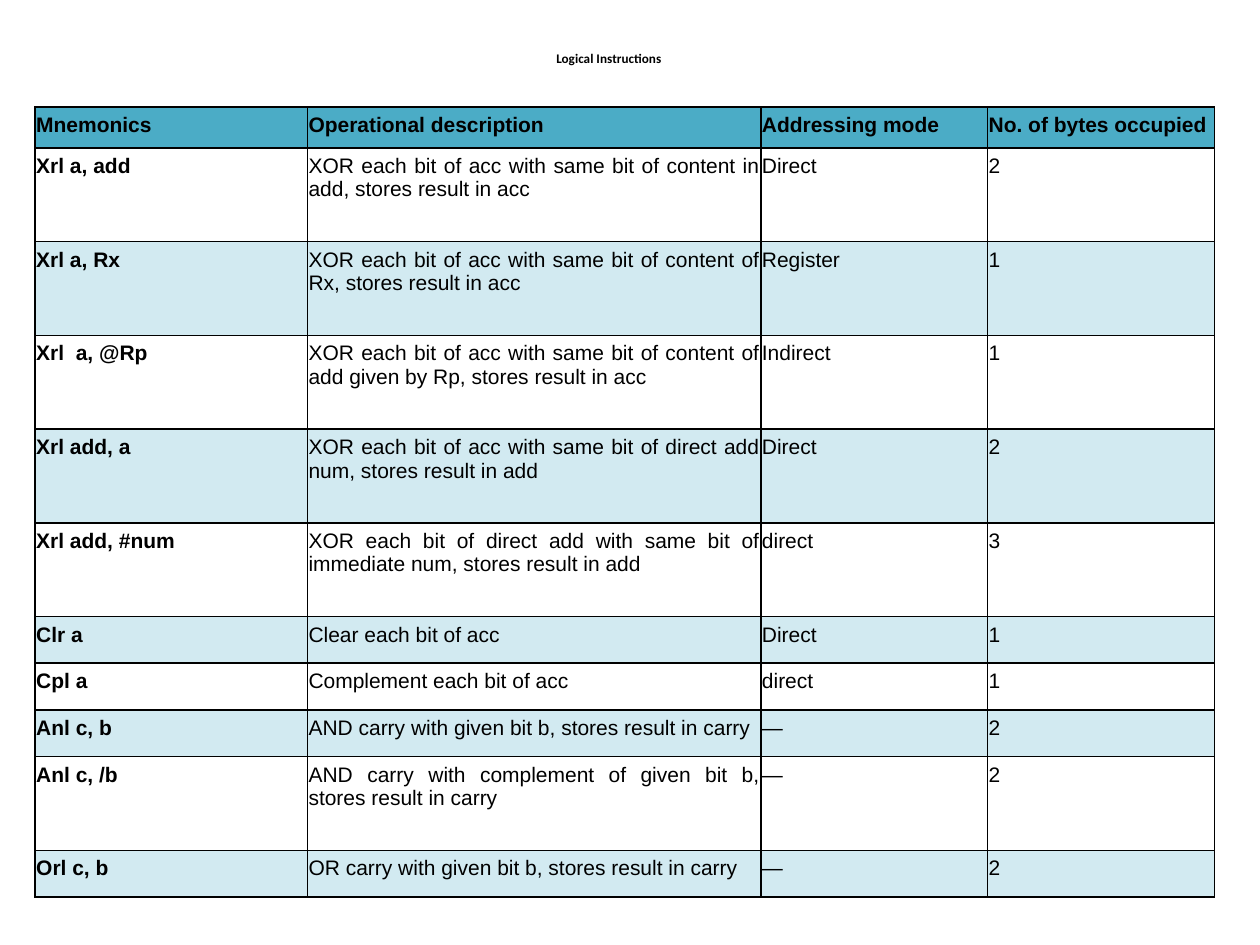
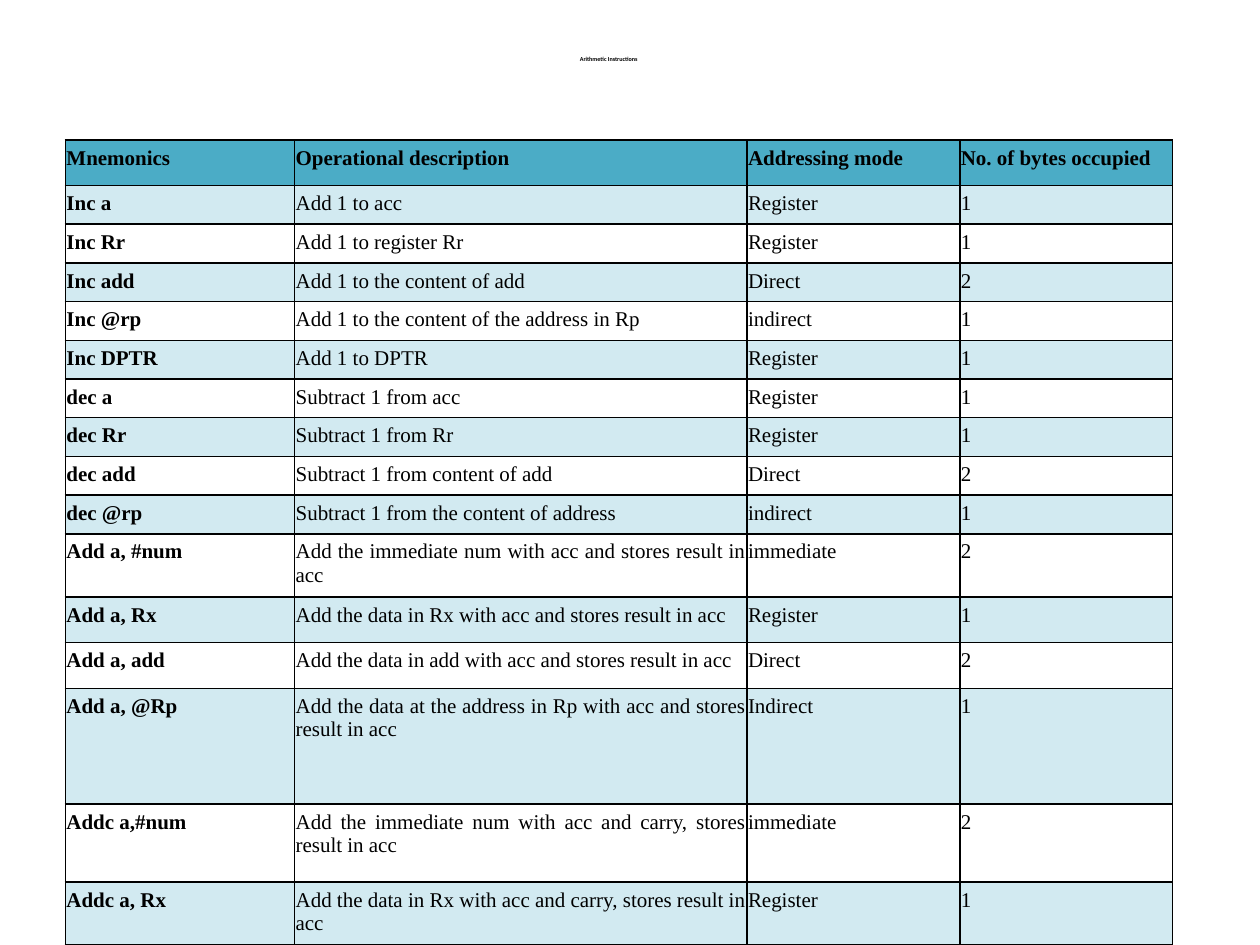
from lxml.etree import SubElement
from pptx import Presentation
from pptx.dml.color import RGBColor
from pptx.enum.text import MSO_ANCHOR, PP_ALIGN
from pptx.oxml.ns import qn
from pptx.util import Cm, Pt

COLOURS = {"text": "000000", "border": "000000", "header": "4BACC6", "band": "D2EAF1"}
HEADINGS = ("Mnemonics", "Operational description", "Addressing mode",
            "No. of bytes occupied")
BORDER_WIDTH = Pt(0.96)

LOGICAL = [
    ("Xrl a, add", "XOR each bit of acc with same bit of content in add, stores result in acc",
     "Direct", "2"),
    ("Xrl a, Rx", "XOR each bit of acc with same bit of content of Rx, stores result in acc",
     "Register", "1"),
    ("Xrl  a, @Rp",
     "XOR each bit of acc with same bit of content of add given by Rp, stores result in acc",
     "Indirect", "1"),
    ("Xrl add, a", "XOR each bit of acc with same bit of direct add num, stores result in add",
     "Direct", "2"),
    ("Xrl add, #num",
     "XOR each bit of direct add with same bit of immediate num, stores result in add",
     "direct", "3"),
    ("Clr a", "Clear each bit of acc", "Direct", "1"),
    ("Cpl a", "Complement each bit of acc", "direct", "1"),
    ("Anl c, b", "AND carry with given bit b, stores result in carry", "—", "2"),
    ("Anl c, /b", "AND carry with complement of given bit b, stores result in carry", "—", "2"),
    ("Orl c, b", "OR carry with given bit b, stores result in carry", "—", "2"),
]
ARITHMETIC = [
    ("Inc a", "Add 1 to acc", "Register", "1"),
    ("Inc Rr", "Add 1 to register Rr", "Register", "1"),
    ("Inc add", "Add 1 to the content of add", "Direct", "2"),
    ("Inc @rp", "Add 1 to the content of the address in Rp", "indirect", "1"),
    ("Inc DPTR", "Add 1 to DPTR", "Register", "1"),
    ("dec a", "Subtract 1 from acc", "Register", "1"),
    ("dec Rr", "Subtract 1 from Rr", "Register", "1"),
    ("dec add", "Subtract 1 from content of add", "Direct", "2"),
    ("dec @rp", "Subtract 1 from the content of address", "indirect", "1"),
    ("Add a, #num", "Add the immediate num with acc and stores result in acc",
     "immediate", "2"),
    ("Add a, Rx", "Add the data in Rx with acc and stores result in acc", "Register", "1"),
    ("Add a, add", "Add the data in add with acc and stores result in acc", "Direct", "2"),
    ("Add a, @Rp", "Add the data at the address in Rp with acc and stores result in acc",
     "Indirect", "1"),
    ("Addc a,#num", "Add the immediate num with acc and carry, stores result in acc",
     "immediate", "2"),
    ("Addc a, Rx", "Add the data in Rx with acc and carry, stores result in acc",
     "Register", "1"),
]
LOGICAL_HEIGHTS = [0.82] + [1.89] * 5 + [0.94] * 3 + [1.89, 0.94]
ARITHMETIC_HEIGHTS = [0.92] + [0.78] * 9 + [1.27, 0.92, 0.92, 2.33, 1.57, 1.27]


def write_text(frame, text, *, font, size, bold=False, align=PP_ALIGN.JUSTIFY, spacing=None):
    para = frame.paragraphs[0]
    para.alignment = align
    para.line_spacing = spacing
    span = para.add_run()
    span.text = text
    span.font.name = font
    span.font.size = Pt(size)
    span.font.bold = bold
    span.font.color.rgb = RGBColor.from_string(COLOURS["text"])


def add_title(page, text, size):
    box = page.shapes.add_textbox(Cm(0.91), Cm(0.25), Cm(22.73), Cm(2.16))
    frame = box.text_frame
    frame.word_wrap = True
    frame.vertical_anchor = MSO_ANCHOR.MIDDLE
    frame.margin_bottom = Cm(0.38)
    write_text(frame, text, font="Calibri", size=size, bold=True,
               align=PP_ALIGN.CENTER, spacing=0.9)


def add_borders(cell):
    properties = cell._tc.get_or_add_tcPr()
    for side in ("a:lnL", "a:lnR", "a:lnT", "a:lnB"):
        line = SubElement(properties, qn(side), w=str(int(BORDER_WIDTH)))
        fill = SubElement(line, qn("a:solidFill"))
        SubElement(fill, qn("a:srgbClr"), val=COLOURS["border"])


def format_cell(cell, text, *, font, bold, colour):
    cell.margin_left = cell.margin_right = Cm(0.02)
    cell.margin_top = cell.margin_bottom = Cm(0.13)
    add_borders(cell)
    if colour:
        cell.fill.solid()
        cell.fill.fore_color.rgb = RGBColor.from_string(COLOURS[colour])
    else:
        cell.fill.background()
    write_text(cell.text_frame, text, font=font, size=12, bold=bold)


def add_instruction_table(page, instructions, *, left, top, widths, heights, font, first_band):
    """Lengths are in cm; every second row from first_band on is tinted."""
    rows = [HEADINGS, *instructions]
    table = page.shapes.add_table(len(rows), len(HEADINGS), Cm(left), Cm(top),
                                  Cm(sum(widths)), Cm(sum(heights))).table
    table.first_row = table.horz_banding = False
    for column, width in zip(table.columns, widths):
        column.width = Cm(width)
    for row, height in zip(table.rows, heights):
        row.height = Cm(height)
    for row_index, values in enumerate(rows):
        if row_index == 0:
            colour = "header"
        else:
            colour = "band" if (row_index - first_band) % 2 == 0 else None
        for column_index, text in enumerate(values):
            format_cell(table.cell(row_index, column_index), text, font=font,
                        bold=row_index == 0 or column_index == 0, colour=colour)


def add_page(deck, title, title_size, instructions, **table_format):
    page = deck.slides.add_slide(deck.slide_layouts[6])
    add_title(page, title, title_size)
    add_instruction_table(page, instructions, **table_format)


def main():
    deck = Presentation()
    deck.slide_width, deck.slide_height = Cm(25.4), Cm(19.05)
    add_page(deck, "Logical Instructions", 7.5, LOGICAL, left=0.71, top=2.16,
             widths=(5.49, 9.14, 4.57, 4.57), heights=LOGICAL_HEIGHTS,
             font="Arial", first_band=2)
    add_page(deck, "Arithmetic Instructions", 3.5, ARITHMETIC, left=1.32, top=2.82,
             widths=(4.62, 9.12, 4.29, 4.29), heights=ARITHMETIC_HEIGHTS,
             font="Times New Roman", first_band=1)
    deck.save("out.pptx")


if __name__ == "__main__":
    main()
